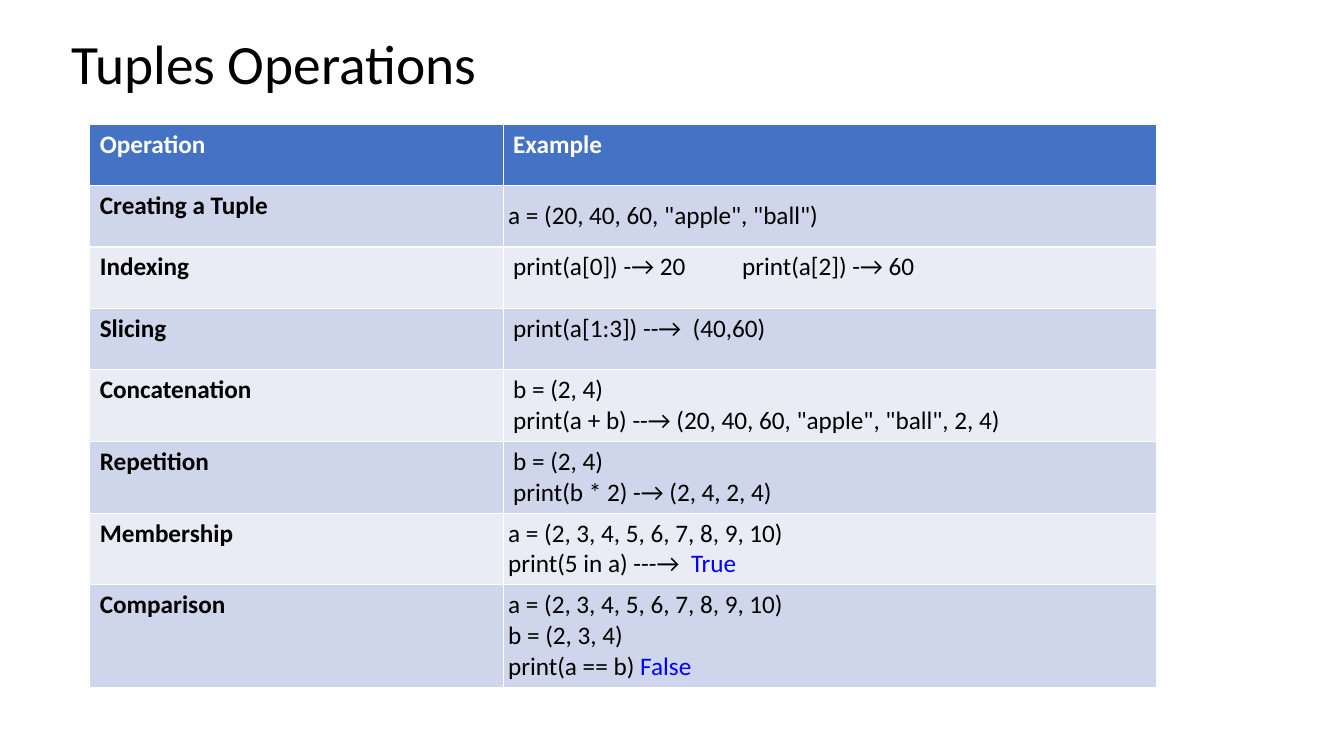
from pptx import Presentation
from pptx.dml.color import RGBColor
from pptx.enum.text import MSO_ANCHOR, MSO_AUTO_SIZE, PP_ALIGN
from pptx.oxml.ns import qn
from pptx.util import Inches, Pt
from lxml import etree

MIDDLE, LEFT, NO_FIT = MSO_ANCHOR.MIDDLE, PP_ALIGN.LEFT, MSO_AUTO_SIZE.NONE
BLACK = RGBColor(0x00, 0x00, 0x00)
WHITE = RGBColor(0xFF, 0xFF, 0xFF)
BLUE = RGBColor(0x00, 0x00, 0xFF)
HEADER_FILL = RGBColor(0x44, 0x72, 0xC4)
BAND_FILLS = [RGBColor(0xCF, 0xD5, 0xEA), RGBColor(0xE9, 0xEB, 0xF5)]

# Content: operation, example lines (the result in blue follows "|"), tight cell
TITLE = "Tuples Operations"
HEADINGS = ("Operation", "Example")
OPERATIONS = [
    ("Creating a Tuple", ['a = (20, 40, 60, "apple", "ball")'], True),
    ("Indexing", ["print(a[0]) -→ 20\tprint(a[2]) -→ 60"], False),
    ("Slicing", ["print(a[1:3]) --→  (40,60)"], False),
    ("Concatenation",
     ["b = (2, 4)", 'print(a + b) --→ (20, 40, 60, "apple", "ball", 2, 4)'], False),
    ("Repetition", ["b = (2, 4)", "print(b * 2) -→ (2, 4, 2, 4)"], False),
    ("Membership",
     ["a = (2, 3, 4, 5, 6, 7, 8, 9, 10)", "print(5 in a) ---→  |True"], True),
    ("Comparison",
     ["a = (2, 3, 4, 5, 6, 7, 8, 9, 10)", "b = (2, 3, 4)", "print(a == b) |False"], True),
]
COLUMN_WIDTHS = (4.1, 6.48)
ROW_HEIGHT = 0.61
EXAMPLE_TAB = 2.27
TIGHT_MARGIN = 0.05


def set_all(target, values):
    for name, value in values.items():
        setattr(target, name, value)


def add_span(para, text, size, color, bold=False):
    span = para.add_run()
    span.text = text
    set_all(span.font, {"name": "Calibri", "size": Pt(size), "bold": bold})
    span.font.color.rgb = color


def add_tab_stop(para, position):
    tabs = etree.SubElement(para._p.get_or_add_pPr(), qn("a:tabLst"))
    etree.SubElement(tabs, qn("a:tab"), pos=str(Inches(position)), algn="l")


def fill_cell(cell, lines, fill, color, bold):
    cell.fill.solid()
    cell.fill.fore_color.rgb = fill
    frame = cell.text_frame
    for index, line in enumerate(lines):
        para = frame.add_paragraph() if index else frame.paragraphs[0]
        if "\t" in line:
            add_tab_stop(para, EXAMPLE_TAB)
        code, _, result = line.partition("|")
        add_span(para, code, 18, color, bold)
        if result:
            add_span(para, result, 18, BLUE, bold)


def main():
    deck = Presentation()
    set_all(deck, {"slide_width": Inches(13.33), "slide_height": Inches(7.5)})
    page = deck.slides.add_slide(deck.slide_layouts[5])

    # Title
    title = page.shapes.title
    set_all(title, {"left": Inches(0.61), "top": Inches(0.35),
                    "width": Inches(10.58), "height": Inches(0.62)})
    set_all(title.text_frame, {"auto_size": NO_FIT, "vertical_anchor": MIDDLE})
    para = title.text_frame.paragraphs[0]
    set_all(para, {"alignment": LEFT, "line_spacing": 0.9})
    add_span(para, TITLE, 39.6, BLACK)

    # Table grid
    row_count = len(OPERATIONS) + 1
    table = page.shapes.add_table(
        row_count, len(COLUMN_WIDTHS), Inches(0.89), Inches(1.23),
        Inches(sum(COLUMN_WIDTHS)), Inches(ROW_HEIGHT * row_count)).table
    for column, width in zip(table.columns, COLUMN_WIDTHS):
        column.width = Inches(width)
    for row in table.rows:
        row.height = Inches(ROW_HEIGHT)

    # Header row
    for column, heading in enumerate(HEADINGS):
        fill_cell(table.cell(0, column), [heading], HEADER_FILL, WHITE, True)

    # Operation rows
    for row, (operation, example, tight) in enumerate(OPERATIONS, 1):
        band = BAND_FILLS[(row - 1) % 2]
        fill_cell(table.cell(row, 0), [operation], band, BLACK, True)
        cell = table.cell(row, 1)
        fill_cell(cell, example, band, BLACK, False)
        if tight:
            cell.vertical_anchor = MIDDLE
            sides = ("margin_left", "margin_top", "margin_right", "margin_bottom")
            set_all(cell, dict.fromkeys(sides, Inches(TIGHT_MARGIN)))

    deck.save("out.pptx")


if __name__ == "__main__":
    main()
